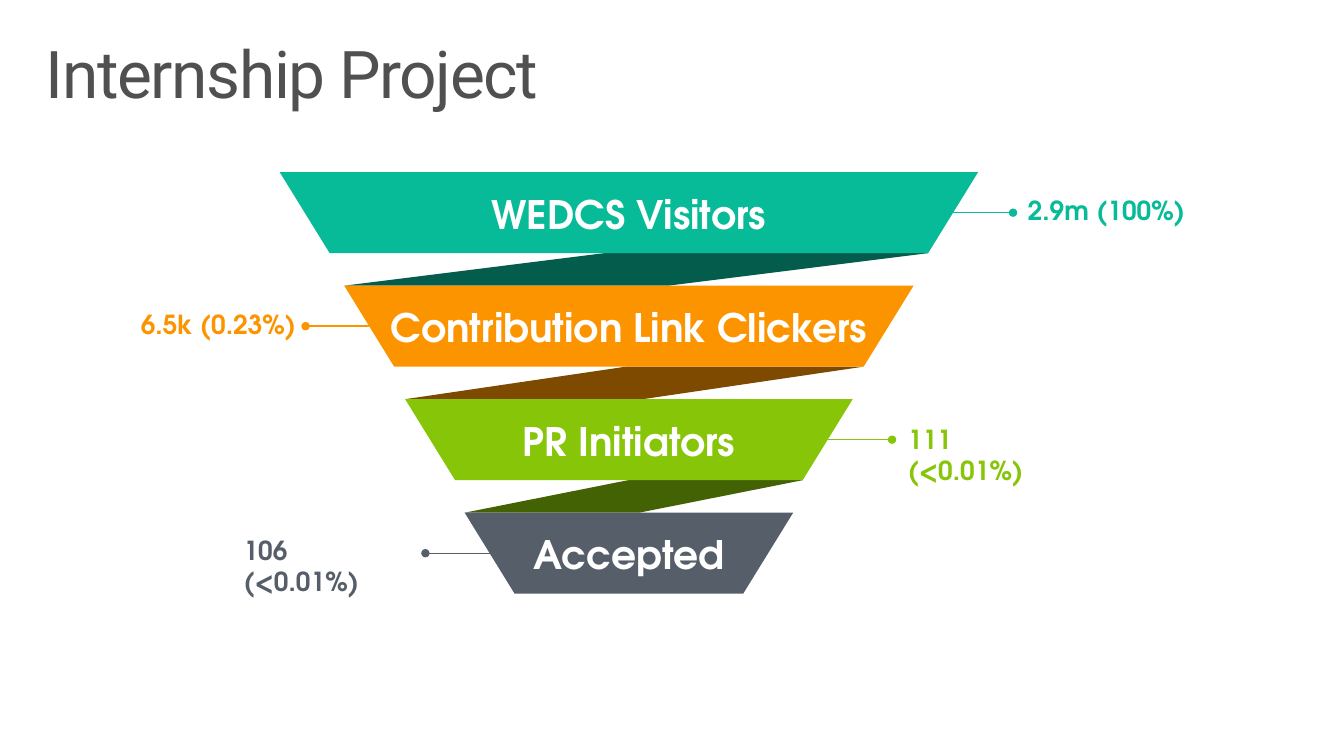
from dataclasses import dataclass

import lxml.etree
import pptx
import pptx.dml.color
import pptx.enum.shapes
import pptx.enum.text
import pptx.oxml.ns
import pptx.util

Cm = pptx.util.Cm
Shape = pptx.enum.shapes.MSO_SHAPE
qn = pptx.oxml.ns.qn


@dataclass(frozen=True)
class Theme:
    title_font: str = "Roboto"
    body_font: str = "TeX Gyre Adventor"
    title_size: float = 47
    tier_size: float = 28
    callout_size: float = 18.7
    title_color: str = "505050"
    tier_text_color: str = "FFFFFF"


@dataclass(frozen=True)
class Tier:
    """One funnel level; lengths in centimetres."""
    name: str
    color: str
    width: float
    name_width: float
    value: str
    side: int  # 1: callout on the right, -1: on the left
    dot_x: float
    callout: tuple  # left, top, width
    right_inset: float


@dataclass(frozen=True)
class Ribbon:
    color: str
    slant: float


THEME = Theme()
CENTRE, FIRST_TOP, PITCH = 15.85, 4.34, 2.86
TIER_HEIGHT, TIER_SLANT = 2.04, 0.617
INSET = TIER_HEIGHT * TIER_SLANT

TIERS = [
    Tier("WEDCS Visitors", "07BA98", 17.6, 13.36,
         "2.9m (100%)", 1, 25.53, (25.65, 4.78, 4.47), 0),
    Tier("Contribution Link Clickers", "FC9400", 14.35, 13.36,
         "6.5k (0.23%)", -1, 7.7, (3.3, 7.65, 4.42), 0),
    Tier("PR Initiators", "87C509", 11.28, 9.5,
         "111 (<0.01%)", 1, 22.48, (22.63, 10.54, 4.6), 0.8),
    Tier("Accepted", "565F69", 8.28, 6.15,
         "106 (<0.01%)", -1, 10.72, (5.89, 13.34, 4.6), 0.8),
]
RIBBONS = [Ribbon("045D4C", 7.99), Ribbon("7E4A00", 6.79), Ribbon("436204", 5.03)]


def rgb(color):
    return pptx.dml.color.RGBColor.from_string(color)


def tier_top(index):
    return FIRST_TOP + index * PITCH


def add_text(shapes, text, box, font, size, color, bold=False):
    shape = shapes.add_textbox(*(Cm(length) for length in box))
    frame = shape.text_frame
    frame.word_wrap = True
    frame.text = text
    run = frame.paragraphs[0].runs[0]
    run.font.name = font
    run.font.size = pptx.util.Pt(size)
    run.font.bold = bold
    run.font.color.rgb = rgb(color)
    return frame


def add_filled_shape(shapes, kind, box, color, slant):
    shape = shapes.add_shape(kind, *(Cm(length) for length in box))
    shape.shadow.inherit = False
    shape.adjustments[0] = slant
    shape.fill.solid()
    shape.fill.fore_color.rgb = rgb(color)
    shape.line.fill.background()
    return shape


def add_title(slide, text):
    frame = add_text(slide.shapes, text, (0.74, 0.81, 32.36, 2.49),
                     THEME.title_font, THEME.title_size, THEME.title_color)
    frame.margin_left = frame.margin_right = Cm(0.41)
    frame.margin_top = frame.margin_bottom = Cm(0.25)
    paragraph = frame.paragraphs[0]
    paragraph.line_spacing = 0.9
    paragraph.runs[0].font._element.set("spc", "-100")


def add_ribbon(slide, index, ribbon):
    """Fold from the bottom right of one tier to the top left of the next."""
    left = CENTRE - TIERS[index + 1].width / 2
    right = CENTRE + TIERS[index].width / 2 - INSET
    box = (left, tier_top(index) + TIER_HEIGHT, right - left, PITCH - TIER_HEIGHT)
    add_filled_shape(slide.shapes, Shape.PARALLELOGRAM, box, ribbon.color, ribbon.slant)


def add_leader(slide, index, tier):
    edge = CENTRE + tier.side * (tier.width - INSET) / 2
    y = Cm(tier_top(index) + TIER_HEIGHT / 2)
    connector = slide.shapes.add_connector(
        pptx.enum.shapes.MSO_CONNECTOR.STRAIGHT, Cm(edge), y, Cm(tier.dot_x), y)
    connector.line.color.rgb = rgb(tier.color)
    connector.line.width = pptx.util.Pt(1)
    line = connector.line._get_or_add_ln()
    lxml.etree.SubElement(line, qn("a:tailEnd"), type="oval")
    lxml.etree.SubElement(connector._element.spPr, qn("a:effectLst"))


def add_tier(slide, index, tier):
    shapes = slide.shapes.add_group_shape().shapes
    top = tier_top(index)
    box = (CENTRE - tier.width / 2, top, tier.width, TIER_HEIGHT)
    shape = add_filled_shape(shapes, Shape.TRAPEZOID, box, tier.color, TIER_SLANT)
    shape._element.spPr.find(qn("a:xfrm")).set("flipV", "1")
    name_box = (CENTRE - tier.name_width / 2, top + 0.33, tier.name_width, 1.45)
    frame = add_text(shapes, tier.name, name_box, THEME.body_font,
                     THEME.tier_size, THEME.tier_text_color, bold=True)
    frame.paragraphs[0].alignment = pptx.enum.text.PP_ALIGN.CENTER


def add_callout(slide, tier):
    frame = add_text(slide.shapes, tier.value, (*tier.callout, 1.07), THEME.body_font,
                     THEME.callout_size, tier.color, bold=True)
    frame.margin_right = Cm(tier.right_inset)


def main():
    presentation = pptx.Presentation()
    presentation.slide_width = Cm(33.87)
    presentation.slide_height = Cm(19.05)
    slide = presentation.slides.add_slide(presentation.slide_layouts[6])

    add_title(slide, "Internship Project")
    for index, ribbon in enumerate(RIBBONS):
        add_ribbon(slide, index, ribbon)
    for index, tier in enumerate(TIERS):
        add_leader(slide, index, tier)
    for index, tier in enumerate(TIERS):
        add_tier(slide, index, tier)
    for tier in TIERS:
        add_callout(slide, tier)

    presentation.save("out.pptx")


if __name__ == "__main__":
    main()
